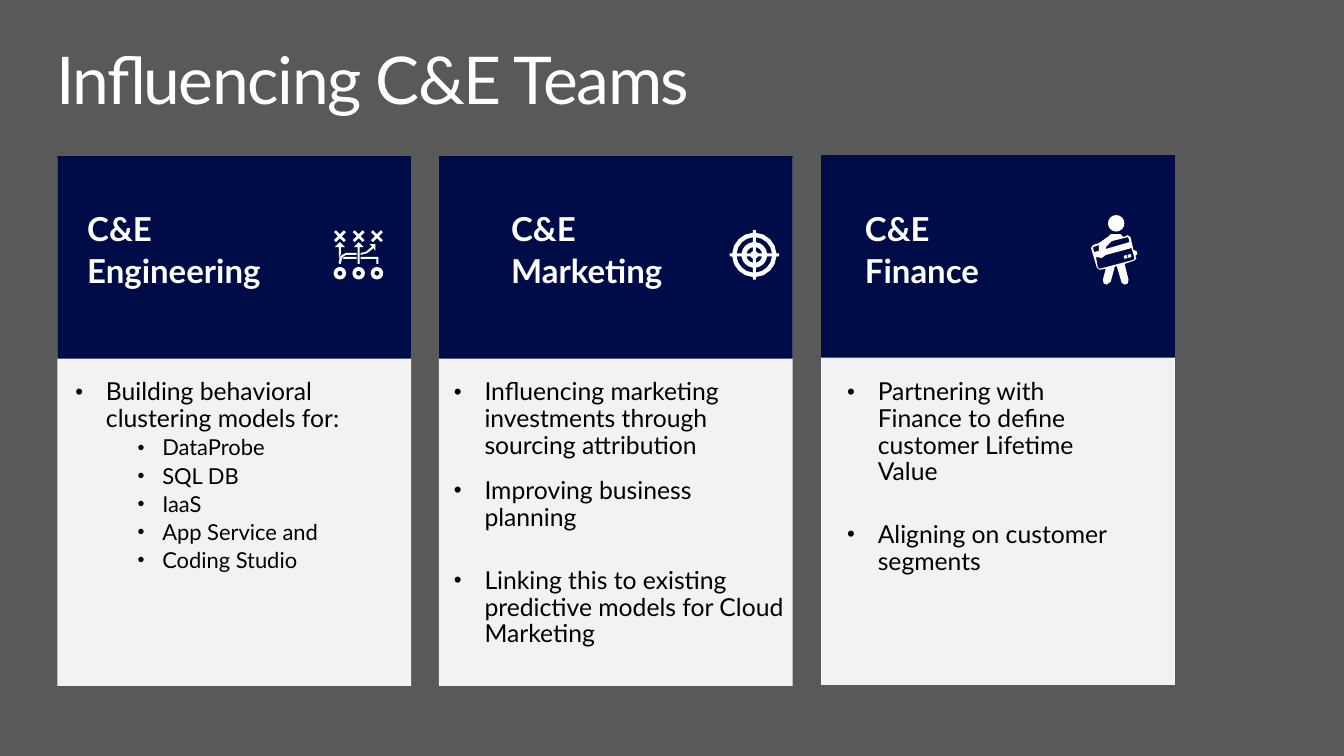
"""Builds the slide on influencing the C&E teams."""
import math

from lxml import etree
from pptx import Presentation
from pptx import util as u
from pptx.dml.color import RGBColor
from pptx.enum import shapes, text
from pptx.oxml.ns import qn

COLORS = {"background": "595959", "card": "F2F2F2", "header": "000C47",
          "white": "FFFFFF", "black": "000000"}
FONT = "Lato"
SIDE_INSET = u.Pt(11)


def write(paragraph, words, size, color, bold=False):
    paragraph.alignment = text.PP_ALIGN.LEFT
    paragraph.line_spacing = 0.9
    run = paragraph.add_run()
    run.text = words
    run.font.name, run.font.size, run.font.bold = FONT, u.Pt(size), bold
    run.font.color.rgb = RGBColor.from_string(COLORS[color])
    return run


def arc(x, y, radius, start=0, sweep=360, gap=0, steps=16):
    margin = math.asin(gap / radius)
    first = math.radians(start) + margin
    step = (math.radians(sweep) - 2 * margin) / steps
    return [(x + radius * math.cos(first + n * step), y + radius * math.sin(first + n * step))
            for n in range(steps + 1)]


presentation = Presentation()
presentation.slide_width, presentation.slide_height = u.Inches(13.6), u.Inches(7.65)
comparison_layout = presentation.slide_layouts[4]
slide = presentation.slides.add_slide(comparison_layout)
slide.background.fill.solid()
slide.background.fill.fore_color.rgb = RGBColor.from_string(COLORS["background"])
filled = []

title, *bodies = slide.placeholders
spare_body = bodies.pop()
spare_body.element.getparent().remove(spare_body.element)

title.left, title.top, title.width, title.height = map(u.Inches, (0.57, 0.48, 12.44, 0.73))
frame = title.text_frame
frame.margin_left = frame.margin_right = frame.margin_top = frame.margin_bottom = 0
frame.auto_size, frame.vertical_anchor = text.MSO_AUTO_SIZE.NONE, text.MSO_ANCHOR.MIDDLE
title_run = write(frame.paragraphs[0], "Influencing C&E Teams", 48, "white")
title_run.font._element.set("spc", "-102")

# team, card left, card top, heading left, list left, list width,
# items as (level, space before, words)
teams = [
    ("Engineering", 0.58, 1.58, 0.73, 0.61, 3.23, [
        (0, 0, "Building behavioral clustering models for:"),
        (1, 3, "DataProbe"),
        (1, 3.2, "SQL DB"),
        (1, 3.2, "IaaS"),
        (1, 3.2, "App Service and"),
        (1, 3.2, "Coding Studio")]),
    ("Marketing", 4.44, 1.58, 5.02, 4.44, 3.69, [
        (0, 0, "Influencing marketing investments through sourcing attribution"),
        (0, 13.6, "Improving business planning"),
        (0, 26.6, "Linking this to existing predictive models for Cloud Marketing")]),
    ("Finance", 8.31, 1.57, 8.6, 8.42, 3.16, [
        (0, 0, "Partnering with Finance to define customer Lifetime Value"),
        (0, 26.2, "Aligning on customer segments")]),
]
levels = [(18, 0.31, 0.31), (16, 0.88, 0.25)]

for body, team_data in zip(bodies, teams):
    team, card_left, card_top, heading_left, list_left, list_width, items = team_data
    for top, height, color in ((card_top + 0.02, 5.34, "card"), (card_top, 2.05, "header")):
        card = slide.shapes.add_shape(shapes.MSO_SHAPE.RECTANGLE, *map(
            u.Inches, (card_left, top, 3.58, height)))
        filled.append((card, color))

    heading = slide.shapes.add_textbox(*map(u.Inches, (heading_left, 2.14, 3.01, 0.81)))
    frame = heading.text_frame
    frame.word_wrap, frame.vertical_anchor = True, text.MSO_ANCHOR.MIDDLE
    frame.margin_left = frame.margin_right = SIDE_INSET
    frame.margin_top = frame.margin_bottom = 0
    write(frame.paragraphs[0], "C&E", 24, "white", True)
    team_line = frame.add_paragraph()
    team_line.space_before = u.Pt(4.8)
    write(team_line, team, 24, "white", True)

    slide.shapes._spTree.append(body.element)
    body.left, body.top, body.width, body.height = map(
        u.Inches, (list_left, 3.76, list_width, 3.01))
    frame = body.text_frame
    frame.word_wrap, frame.vertical_anchor = True, text.MSO_ANCHOR.TOP
    frame.auto_size = text.MSO_AUTO_SIZE.NONE
    frame.margin_left = frame.margin_right = SIDE_INSET
    frame.margin_top, frame.margin_bottom = u.Inches(0.08), 0
    for number, (level, space, words) in enumerate(items):
        paragraph = frame.add_paragraph() if number else frame.paragraphs[0]
        size, indent, hanging = levels[level]
        paragraph.level, paragraph.space_before = level, u.Pt(space)
        properties = paragraph._p.get_or_add_pPr()
        properties.set("marL", str(u.Inches(indent)))
        properties.set("indent", str(-u.Inches(hanging)))
        for tag, name, value in (("a:buSzPct", "val", "90000"),
                                 ("a:buFont", "typeface", "Arial"),
                                 ("a:buChar", "char", "•")):
            etree.SubElement(properties, qn(tag)).set(name, value)
        write(paragraph, words, size, "black")

target_center = (763.3, 258)
target_outline, target = [], []
for start in range(0, 360, 90):
    tick_start, tick_end = arc(*target_center, 25, start, 90, 1.5, 1)
    target_outline += [tick_start, *arc(*target_center, 22.5, start, 90, 1.5, 4), tick_end]
    for inner, outer in ((4, 8), (13, 18)):
        target.append(arc(*target_center, outer, start, 90, 1.5, 4)
                      + arc(*target_center, inner, start, 90, 1.5, 4)[::-1])
target.insert(0, target_outline)

card_holder = [
    arc(1129.5, 226, 8.3),
    [(1122, 239), (1124, 237), (1134, 237), (1137, 240), (1141, 238), (1144, 240),
     (1147, 253), (1150, 254), (1151, 257), (1149, 259), (1150, 262), (1147, 264),
     (1138, 267), (1142, 283), (1141, 287), (1138, 288), (1135, 286), (1130, 269),
     (1128, 270), (1124, 285), (1120, 288), (1117, 287), (1116, 283), (1119, 272),
     (1113, 273), (1110, 271), (1104, 251), (1106, 248), (1112, 246)],
    [(1119, 252), (1143, 245), (1142, 241), (1141, 240), (1125, 244), (1119, 250)],
    [(1107, 255), (1112, 254), (1112, 248), (1106, 250)],
    [(1148, 261), (1145, 251), (1119, 258), (1115, 261), (1109, 260), (1111, 271),
     (1113, 272), (1147, 263)],
    [(1144, 257), (1145, 260), (1142, 261), (1141, 258)],
    [(1140, 258), (1141, 261), (1138, 262), (1137, 259)],
]

cross = [(2, 0), (6, 4), (4, 6), (0, 2), (-4, 6), (-6, 4),
         (-2, 0), (-6, -4), (-4, -6), (0, -2), (4, -6), (6, -4)]
playbook = [
    [(344, 245), (349, 250), (345, 250), (345, 257), (343, 261), (343, 250), (339, 250)],
    [(363, 245), (368, 250), (364, 250), (364, 267), (362, 267), (362, 250), (358, 250)],
    [(343, 267), (343, 264), (344, 260), (346, 258), (350, 256), (361, 256), (361, 258),
     (350, 258), (347, 260), (346, 262), (345, 267)],
    [(348, 260), (361, 260), (361, 262), (347, 262)],
    [(365, 260), (383, 260), (383, 267), (381, 267), (381, 262), (365, 262)],
    [(365, 256), (370, 255), (376, 250), (377, 250), (374, 247), (380, 247), (380, 254),
     (378, 251), (372, 256), (365, 258)],
]
for x in (344, 363, 381.5):
    playbook += [[(x + dx, 239 + dy) for dx, dy in cross],
                 arc(x, 276.5, 6.3), arc(x, 276.5, 2.5)]

for icon in (target, card_holder, playbook):
    builder = slide.shapes.build_freeform(scale=u.Inches(1) / 1000)
    for contour in icon:
        points = [(10 * x, 10 * y) for x, y in contour]
        builder.move_to(*points[0])
        builder.add_line_segments(points[1:], close=True)
    filled.append((builder.convert_to_shape(), "white"))

for shape, color in filled:
    shape.shadow.inherit = False
    shape.fill.solid()
    shape.fill.fore_color.rgb = RGBColor.from_string(COLORS[color])
    shape.line.fill.background()

presentation.save("out.pptx")
